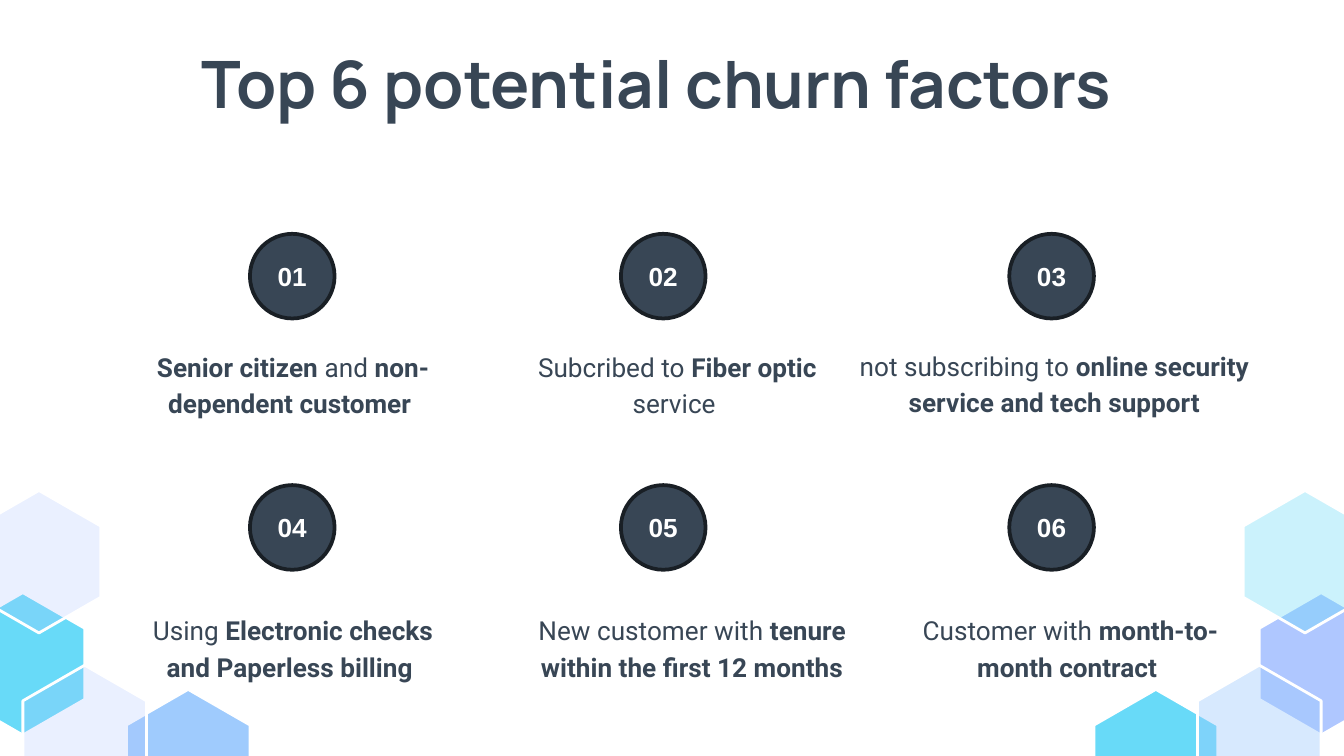
from lxml import etree
from pptx import Presentation
from pptx.dml.color import RGBColor
from pptx.enum.shapes import MSO_SHAPE
from pptx.enum.text import MSO_ANCHOR, PP_ALIGN
from pptx.oxml.ns import qn
from pptx.util import Inches, Pt

OVAL = MSO_SHAPE.OVAL
CENTER = PP_ALIGN.CENTER
TOP, MIDDLE = MSO_ANCHOR.TOP, MSO_ANCHOR.MIDDLE

WIDTH = 10
HEIGHT = WIDTH * 9 / 16
SLATE, INK, WHITE = "384655", "191F25", "FFFFFF"
CYAN, SKY, LILAC = "68DAF8", "9FCBFD", "AFC7FF"

HEX_WIDTH, HEX_HEIGHT = 0.92, 1.06
BADGE = 0.63
COLUMNS = (1.86, 4.62, 7.51)
BADGE_ROWS = (1.74, 3.61)

# Distance from the side edge, centre height, then (fill, opacity) left and right
HEXAGONS = [
    (1.4, 5.66, (SKY, 100), (CYAN, 100)),
    (0.17, 4.94, (CYAN, 100), (LILAC, 100)),
    (0.63, 5.48, (LILAC, 25), (SKY, 41)),
    (0.29, 4.18, (LILAC, 25), (CYAN, 34)),
]

# Text box (left, top, width, height), then the text with bold parts between asterisks
FACTORS = [
    ((0.77, 2.48, 2.82, 0.69), "*Senior citizen *and *non-dependent customer *"),
    ((3.8, 2.48, 2.48, 0.69), "Subcribed to *Fiber optic *service "),
    ((6.27, 2.47, 3.15, 1), "not subscribing to *online security service and tech support*"),
    ((0.94, 4.44, 2.48, 0.69), "Using *Electronic checks and Paperless billing *"),
    ((3.8, 4.44, 2.7, 0.69), "New customer with *tenure within the first 12 months*"),
    ((6.53, 4.44, 2.87, 0.69), "Customer with *month-to-month contract *"),
]


def paint(fill, color):
    """Make a fill solid, in the colour of a hex string."""
    fill.solid()
    fill.fore_color.rgb = RGBColor.from_string(color)


def style_shape(shape, fill, line, line_width):
    shape.shadow.inherit = False
    paint(shape.fill, fill)
    paint(shape.line.fill, line)
    shape.line.width = Pt(line_width)


def style_span(span, font, size, color, bold):
    span.font.name = font
    span.font.size = Pt(size)
    span.font.bold = bold
    paint(span.font.fill, color)


def set_opacity(shape, percent):
    color = shape.element.spPr.find(qn("a:solidFill"))[0]
    etree.SubElement(color, qn("a:alpha"), val=str(percent * 1000))


def add_hexagon(page, center_x, center_y, color, opacity):
    half, quarter = HEX_WIDTH / 2, HEX_HEIGHT / 4
    corners = [(0, -2), (1, -1), (1, 1), (0, 2), (-1, 1), (-1, -1)]
    points = [(Inches(center_x + x * half), Inches(center_y + y * quarter))
              for x, y in corners]
    builder = page.shapes.build_freeform(*points[0])
    builder.add_line_segments(points[1:], close=True)
    hexagon = builder.convert_to_shape()
    style_shape(hexagon, color, WHITE, 1.5)
    if opacity < 100:
        set_opacity(hexagon, opacity)


def add_text(page, area, text, font, size, spacing=1.0):
    """Add centred text in which the parts between asterisks are bold."""
    box = page.shapes.add_textbox(*map(Inches, area))
    frame = box.text_frame
    frame.word_wrap = True
    frame.vertical_anchor = TOP
    frame.margin_left = frame.margin_right = Inches(0.1)
    frame.margin_top = frame.margin_bottom = Inches(0.1)
    para = frame.paragraphs[0]
    para.alignment = CENTER
    para.line_spacing = spacing
    for index, part in enumerate(text.split("*")):
        if part:
            span = para.add_run()
            span.text = part
            style_span(span, font, size, SLATE, index % 2 == 1)


def add_badge(page, left, top, number):
    badge = page.shapes.add_shape(OVAL, *map(Inches, (left, top, BADGE, BADGE)))
    style_shape(badge, SLATE, INK, 2)
    frame = badge.text_frame
    frame.text = f"{number:02d}"
    frame.vertical_anchor = MIDDLE
    frame.word_wrap = False
    para = frame.paragraphs[0]
    para.alignment = CENTER
    style_span(para.runs[0], "Arial", 14, WHITE, True)


def main():
    deck = Presentation()
    deck.slide_width, deck.slide_height = Inches(WIDTH), Inches(HEIGHT)
    page = deck.slides.add_slide(deck.slide_layouts[6])
    paint(page.background.fill, WHITE)

    for inset, center_y, left_style, right_style in HEXAGONS:
        add_hexagon(page, inset, center_y, *left_style)
        add_hexagon(page, WIDTH - inset, center_y, *right_style)

    add_text(page, (0.72, 0.22, 8.43, 0.63),
             "*Top 6 potential churn factors *", "Manrope", 35)

    for index, (area, text) in enumerate(FACTORS):
        row, column = divmod(index, len(COLUMNS))
        add_text(page, area, text, "Roboto", 14, 1.15)
        add_badge(page, COLUMNS[column], BADGE_ROWS[row], index + 1)

    deck.save("out.pptx")


if __name__ == "__main__":
    main()
